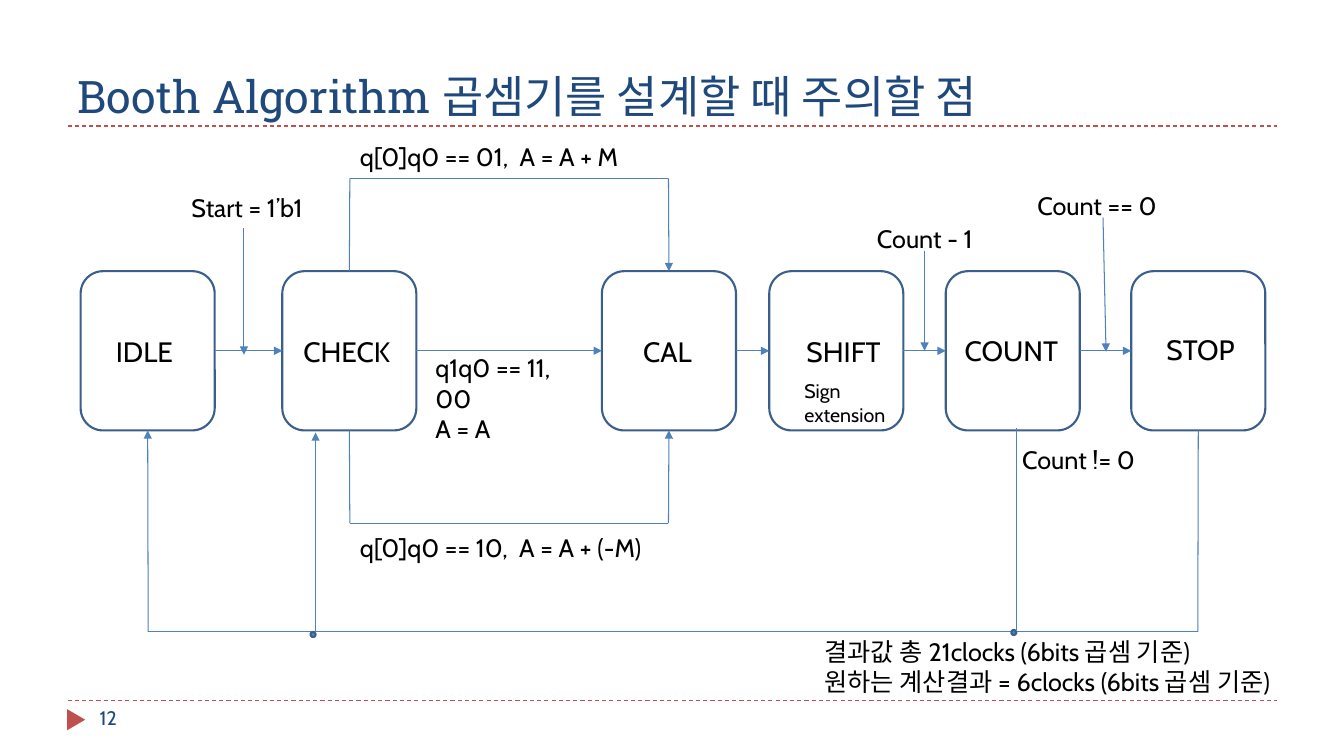
from dataclasses import dataclass

from lxml.etree import SubElement
from pptx import Presentation
from pptx.dml.color import RGBColor as RGB
from pptx.enum.dml import MSO_LINE
from pptx.enum.shapes import MSO_CONNECTOR, MSO_SHAPE as SHAPE
from pptx.enum.text import MSO_ANCHOR, MSO_AUTO_SIZE, PP_ALIGN
from pptx.oxml.ns import qn
from pptx.util import Pt


@dataclass(frozen=True)
class Theme:
    navy: RGB = RGB.from_string("1F497D")
    red: RGB = RGB.from_string("C0504D")
    blue: RGB = RGB.from_string("4F81BD")
    outline: RGB = RGB.from_string("3A5F8C")
    black: RGB = RGB.from_string("000000")
    heading_font: str = "Roboto Slab"
    body_font: str = "Cabin"
    title: int = 32
    state: int = 20
    label: int = 18
    small: int = 14


theme = Theme()
PX = 9144  # 100 px to the inch
TOP, BOX_W, BOX_H = 269, 133, 158
MID, BOTTOM = TOP + BOX_H // 2, TOP + BOX_H
UPPER, LOWER, RETURN = 177, 519, 627  # heights of the routed paths

prs = Presentation()
prs.slide_width, prs.slide_height = 1333 * PX, 750 * PX
s = prs.slides.add_slide(prs.slide_layouts[5])


def add_text(text, x, y, w, h, size, color=theme.black):
    tf = s.shapes.add_textbox(x * PX, y * PX, w * PX, h * PX).text_frame
    tf.word_wrap = True
    tf.auto_size = MSO_AUTO_SIZE.SHAPE_TO_FIT_TEXT
    tf.text = text
    for p in tf.paragraphs:
        for r in p.runs:
            r.font.size, r.font.name = Pt(size), theme.body_font
            r.font.color.rgb = color


def add_line(x1, y1, x2, y2, arrow=False, begin=None, end=None, dashed=False):
    c = s.shapes.add_connector(MSO_CONNECTOR.STRAIGHT, x1 * PX, y1 * PX, x2 * PX, y2 * PX)
    if begin:
        c.begin_connect(*begin)
    if end:
        c.end_connect(*end)
    c.line.width = Pt(0.75)
    c.line.color.rgb = theme.red if dashed else theme.blue
    if dashed:
        c.line.dash_style = MSO_LINE.DASH
    spPr = c.element.spPr
    if arrow:
        SubElement(spPr.find(qn("a:ln")), qn("a:tailEnd"), type="triangle")
    SubElement(spPr, qn("a:effectLst"))


# Title, dashed rules and page marker
title = s.shapes.title
title.left, title.top, title.width, title.height = 67 * PX, 19 * PX, 1200 * PX, 108 * PX
tf = title.text_frame
tf.text = "Booth Algorithm 곱셈기를 설계할 때 주의할 점"
tf.vertical_anchor, tf.auto_size = MSO_ANCHOR.BOTTOM, MSO_AUTO_SIZE.NONE
p = tf.paragraphs[0]
p.alignment = PP_ALIGN.LEFT
font = p.runs[0].font
font.size, font.name, font.color.rgb = Pt(theme.title), theme.heading_font, theme.navy

for y in (125, 695):
    add_line(67, y, 1267, y, dashed=True)

marker = s.shapes.add_shape(SHAPE.ISOSCELES_TRIANGLE, 65 * PX, 705 * PX, 21 * PX, 18 * PX)
marker.rotation = 90
marker.shadow.inherit = False
marker.fill.solid()
marker.fill.fore_color.rgb = theme.red
marker.line.fill.background()
add_text("12", 89, 695, 289, 40, theme.small, theme.navy)

# States: name, box left, label left, label top, label width
states = [
    ("IDLE", 80, 105, 327, 83),
    ("CHECK", 280, 291, 327, 117),
    ("CAL", 597, 628, 327, 117),
    ("SHIFT", 763, 790, 327, 107),
    ("COUNT", 938, 947, 326, 123),
    ("STOP", 1122, 1147, 325, 108),
]
boxes = {}
for name, x, label_x, label_y, label_w in states:
    sp = s.shapes.add_shape(SHAPE.ROUNDED_RECTANGLE, x * PX, TOP * PX, BOX_W * PX, BOX_H * PX)
    sp.shadow.inherit = False
    sp.fill.background()
    sp.line.color.rgb, sp.line.width = theme.outline, Pt(1.5)
    boxes[name] = sp
    add_text(name, label_x, label_y, label_w, 44, theme.state)
add_text("Sign extension", 788, 371, 117, 57, theme.small)

# Transitions from each state to the next
for (a, xa, *_), (b, xb, *_) in zip(states, states[1:]):
    add_line(xa + BOX_W, MID, xb, MID, True, (boxes[a], 3), (boxes[b], 1))

# Upper and lower paths from CHECK to CAL
for path_y, edge, site in ((UPPER, TOP, 0), (LOWER, BOTTOM, 2)):
    add_line(347, edge, 347, path_y, begin=(boxes["CHECK"], site))
    add_line(347, path_y, 663, path_y)
    add_line(663, path_y, 663, edge, True, end=(boxes["CAL"], site))

# Return path to IDLE and CHECK
add_line(1188, BOTTOM, 1188, RETURN, begin=(boxes["STOP"], 2))
add_line(1188, RETURN, 147, RETURN)
add_line(147, RETURN, 147, BOTTOM, True, end=(boxes["IDLE"], 2))
add_line(1008, 425, 1008, 625)
add_line(313, RETURN, 313, 429, True)
for x, y in ((308, 627), (1003, 625)):
    dot = s.shapes.add_shape(SHAPE.OVAL, x * PX, y * PX, 5 * PX, 5 * PX)
    dot.shadow.inherit = False
    dot.fill.solid()
    dot.fill.fore_color.rgb = theme.blue
    dot.line.color.rgb, dot.line.width = theme.outline, Pt(1.5)

# Arrows from conditions to transitions
for ends in ((242, 226, 242, 352), (917, 249, 917, 348), (1094, 216, 1097, 349)):
    add_line(*ends, arrow=True)

# Conditions and result
for text, x, y, w, h in [
    ("Start = 1’b1", 180, 186, 142, 40),
    ("q[0]q0 == 01,  A = A + M", 347, 135, 317, 40),
    ("q1q0 == 11, 00\nA = A", 422, 345, 175, 71),
    ("q[0]q0 == 10,  A = A + (-M)", 347, 523, 317, 40),
    ("Count - 1", 860, 217, 317, 40),
    ("Count == 0", 1019, 184, 178, 40),
    ("Count != 0", 1004, 436, 317, 40),
    ("결과값 총 21clocks (6bits 곱셈 기준)\n원하는 계산결과 = 6clocks (6bits 곱셈 기준)", 808, 626, 492, 71),
]:
    add_text(text, x, y, w, h, theme.label)

prs.save("out.pptx")
